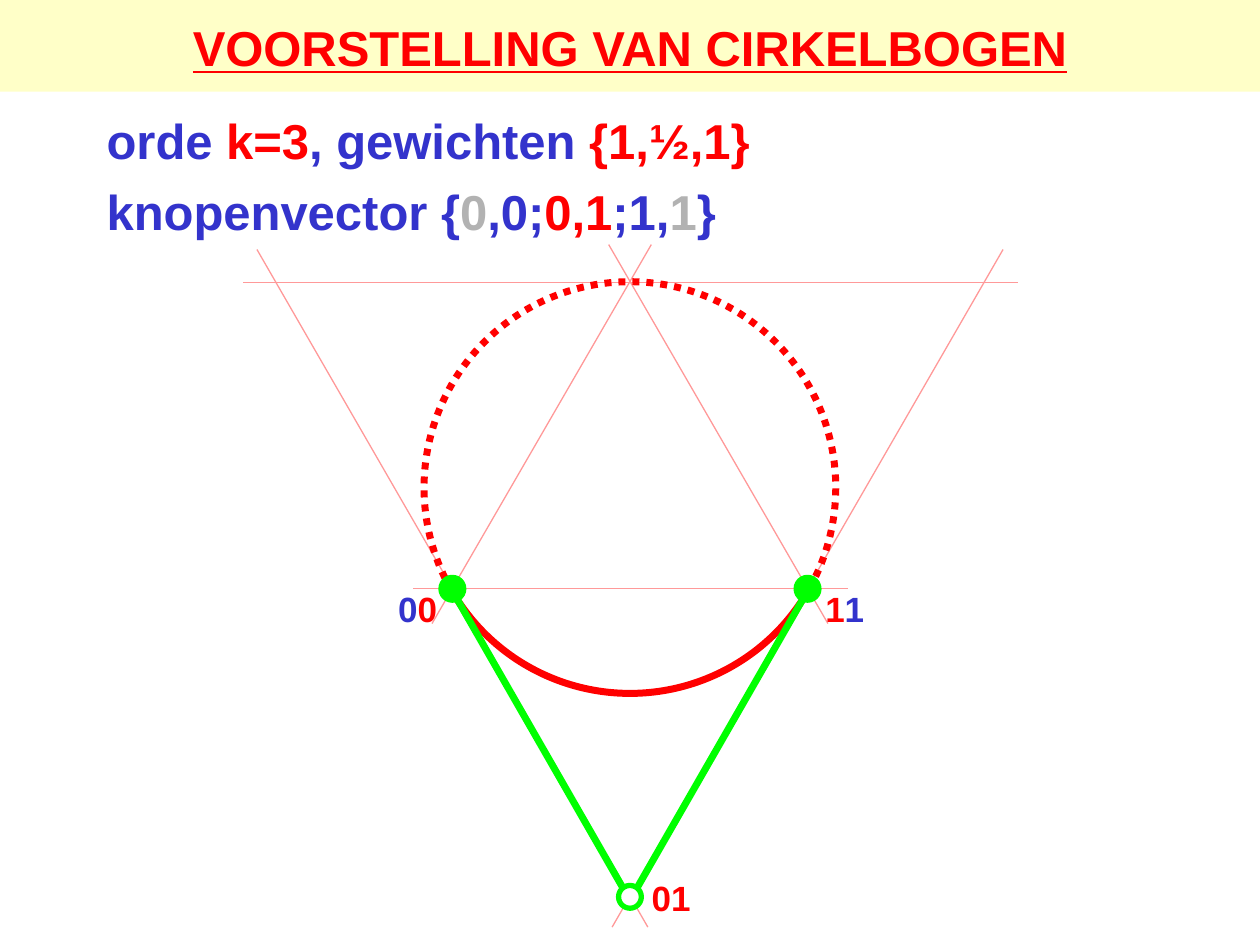
from dataclasses import dataclass
from typing import NamedTuple

from lxml.etree import SubElement
from pptx import Presentation
from pptx.dml.color import RGBColor
from pptx.enum.dml import MSO_LINE
from pptx.enum.shapes import MSO_CONNECTOR, MSO_SHAPE
from pptx.enum.text import MSO_ANCHOR, PP_ALIGN
from pptx.oxml.ns import qn
from pptx.util import Cm, Pt


@dataclass(frozen=True)
class Theme:
    red: str = "FF0000"
    blue: str = "3333CC"
    gray: str = "B2B2B2"
    green: str = "00FF00"
    pink: str = "FF9999"
    cream: str = "FFFFC8"
    white: str = "FFFFFF"
    font: str = "Arial"
    big: float = 28
    small: float = 20
    thin: float = 0.75
    ring: float = 3
    thick: float = 4


class Run(NamedTuple):
    text: str
    color: str


class Box(NamedTuple):
    x: float
    y: float
    w: float
    h: float


class Line(NamedTuple):
    x1: float
    y1: float
    x2: float
    y2: float

    def flip(self) -> "Line":
        return Line(WIDE - self.x1, self.y1, WIDE - self.x2, self.y2)


class Label(NamedTuple):
    x: float
    y: float
    runs: list[Run]


T = Theme()
WIDE, HIGH = 25.4, 19.05
MID = WIDE / 2

deck = Presentation()
deck.slide_width, deck.slide_height = Cm(WIDE), Cm(HIGH)
slide = deck.slides.add_slide(deck.slide_layouts[6])


def rgb(code: str) -> RGBColor:
    return RGBColor.from_string(code)


def add_line(line: Line, color: str, width: float) -> None:
    item = slide.shapes.add_connector(MSO_CONNECTOR.STRAIGHT, *map(Cm, line))
    item.line.color.rgb = rgb(color)
    item.line.width = Pt(width)
    SubElement(item._element.spPr, qn("a:effectLst"))


def add_form(kind: MSO_SHAPE, box: Box, fill: str | None, edge: str | None, width: float = 0):
    item = slide.shapes.add_shape(kind, *map(Cm, box))
    item.shadow.inherit = False
    if fill:
        item.fill.solid()
        item.fill.fore_color.rgb = rgb(fill)
    else:
        item.fill.background()
    if edge:
        item.line.color.rgb = rgb(edge)
        item.line.width = Pt(width)
    else:
        item.line.fill.background()
    return item


def add_arc(start: float, end: float, dotted: bool) -> None:
    rad = 4.15
    arc = add_form(MSO_SHAPE.ARC, Box(MID - rad, 9.83 - rad, 2 * rad, 2 * rad),
                   None, T.red, T.thick)
    # Angles are stored in 60000ths of a degree, scaled by 100000
    arc.adjustments[0], arc.adjustments[1] = start * 0.6, end * 0.6
    if dotted:
        arc.line.dash_style = MSO_LINE.ROUND_DOT


def add_dot(x: float, y: float, fill: str) -> None:
    size = 0.46
    add_form(MSO_SHAPE.OVAL, Box(x - size / 2, y - size / 2, size, size),
             fill, T.green, T.ring)


def add_text(box: Box, rows: list[list[Run]], size: float, align: PP_ALIGN = PP_ALIGN.LEFT,
             wrap: bool = True, middle: bool = False, under: bool = False) -> None:
    frame = slide.shapes.add_textbox(*map(Cm, box)).text_frame
    frame.word_wrap = wrap
    frame.vertical_anchor = MSO_ANCHOR.MIDDLE if middle else MSO_ANCHOR.TOP
    for i, row in enumerate(rows):
        para = frame.add_paragraph() if i else frame.paragraphs[0]
        para.alignment = align
        para.space_before = Pt(6.5 if i else 0)
        for part in row:
            run = para.add_run()
            run.text = part.text
            font = run.font
            font.name, font.size, font.bold = T.font, Pt(size), True
            font.color.rgb = rgb(part.color)
            if under:
                font.underline = True


# Title band
add_form(MSO_SHAPE.RECTANGLE, Box(0, 0, WIDE, 1.85), T.cream, None)
add_text(Box(0, 0, WIDE, 1.9), [[Run("VOORSTELLING VAN CIRKELBOGEN", T.red)]],
         T.big, PP_ALIGN.CENTER, middle=True, under=True)

# Order, weights and knot vector
add_text(Box(1.9, 2.11, 21.87, 5.31), [
    [Run("orde ", T.blue), Run("k=3", T.red), Run(", gewichten ", T.blue),
     Run("{1,½,1}", T.red)],
    [Run("knopenvector {", T.blue), Run("0", T.gray), Run(",0;", T.blue),
     Run("0,1", T.red), Run(";1,", T.blue), Run("1", T.gray), Run("}", T.blue)],
], T.big)

# Guide lines: level ones, then mirrored pairs
for guide in (Line(4.9, 5.69, 20.52, 5.69), Line(8.33, 11.86, 17.09, 11.86)):
    add_line(guide, T.pink, T.thin)
for guide in (Line(5.18, 5.03, 13.06, 18.69), Line(12.27, 4.93, 16.69, 12.57)):
    add_line(guide, T.pink, T.thin)
    add_line(guide.flip(), T.pink, T.thin)

# Circle: solid lower arc, dotted remainder
add_arc(30, 150, False)
add_arc(150, 30, True)

# Control polygon and its points
leg = Line(12.66, 18.08, 9.09, 11.86)
for x in (9.12, WIDE - 9.12):
    add_dot(x, 11.87, T.green)
for side in (leg, leg.flip()):
    add_line(side, T.green, T.thick)
add_dot(MID, 18.08, T.white)

# Point labels
for label in (
    Label(7.77, 11.71, [Run("0", T.blue), Run("0", T.red)]),
    Label(12.88, 17.55, [Run("01", T.red)]),
    Label(16.38, 11.71, [Run("1", T.red), Run("1", T.blue)]),
):
    add_text(Box(label.x, label.y, 1.3, 1.09), [label.runs], T.small,
             PP_ALIGN.CENTER, wrap=False)

deck.save("out.pptx")
